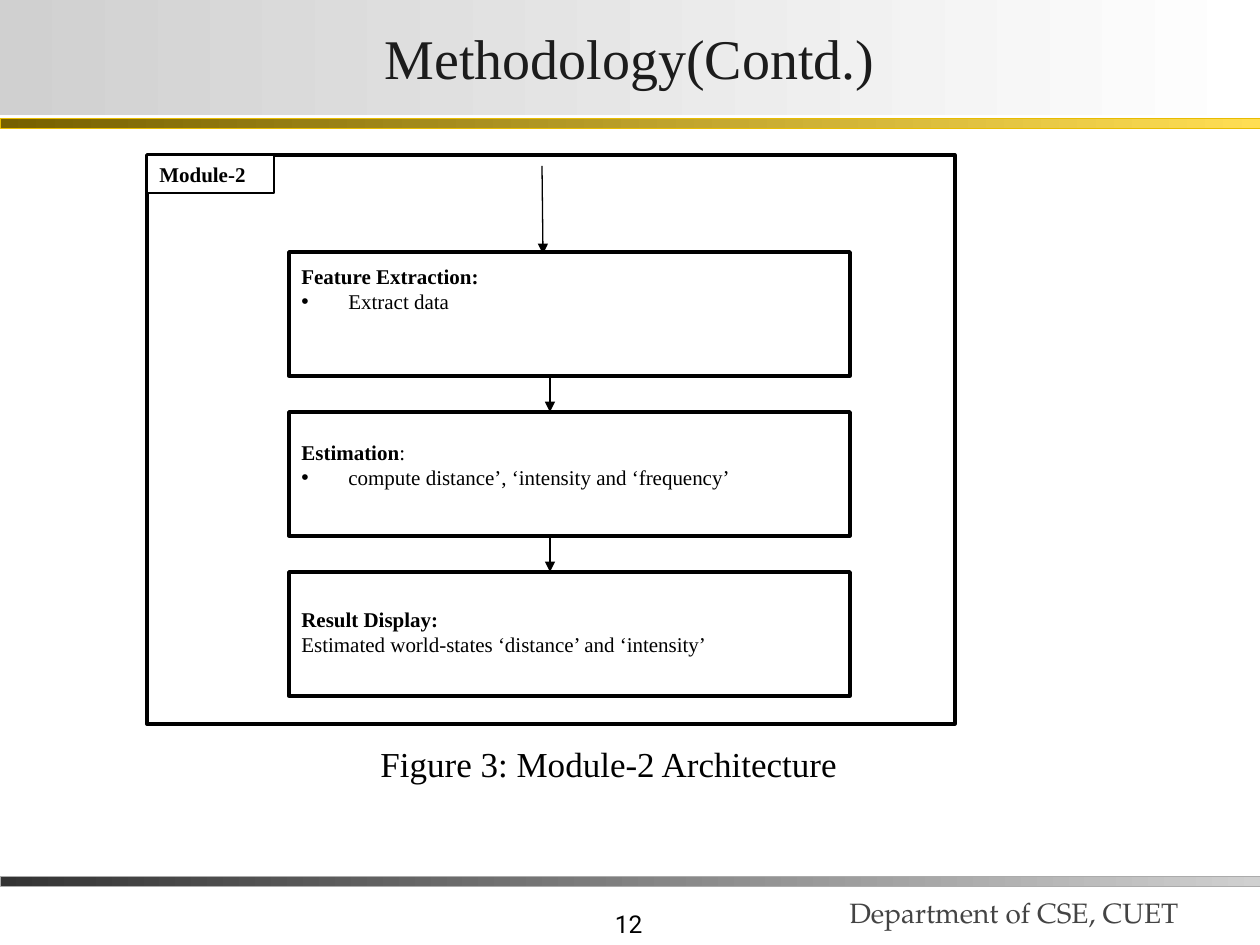
from dataclasses import dataclass

from lxml import etree
from pptx import Presentation
from pptx.dml.color import RGBColor
from pptx.enum.shapes import MSO_CONNECTOR, MSO_SHAPE
from pptx.enum.text import MSO_ANCHOR, MSO_AUTO_SIZE, PP_ALIGN
from pptx.oxml.ns import qn
from pptx.util import Emu, Pt

RECTANGLE = MSO_SHAPE.RECTANGLE
STRAIGHT = MSO_CONNECTOR.STRAIGHT
TOP, MIDDLE, BOTTOM = MSO_ANCHOR.TOP, MSO_ANCHOR.MIDDLE, MSO_ANCHOR.BOTTOM
LEFT, CENTER, RIGHT = PP_ALIGN.LEFT, PP_ALIGN.CENTER, PP_ALIGN.RIGHT
EMU_PER_PX = 914400 / 126


@dataclass(frozen=True)
class Theme:
    serif: str = "Times New Roman"
    footer_font: str = "TeX Gyre Pagella"
    number_font: str = "Roboto"
    ink: str = "000000"
    paper: str = "FFFFFF"
    title_ink: str = "1C1C1C"
    footer_ink: str = "444444"
    title_fade: tuple = ("D0D0D0", "FFFFFF")
    gold: tuple = ("766000", "FFDE53")
    gold_edge: str = "E8BC00"
    gray: tuple = ("333333", "D0D0D0")
    gray_edge: str = "ABABAB"
    title_size: int = 32
    caption_size: int = 20
    footer_size: int = 16
    number_size: int = 14
    body_size: int = 12
    thick: float = 2
    thin: float = 0.75
    hairline: float = 0.25


THEME = Theme()

# Content: a paragraph is (bulleted, runs); a run is (text, bold)
TITLE = "Methodology(Contd.)"
CAPTION = "Figure 3: Module-2 Architecture"
FOOTER = "Department of CSE, CUET"
PAGE_NUMBER = "12"
MODULE = "Module-2"
# Each step: text offset from the box top, text width, text height, paragraphs
STEPS = [
    (5, 561, 89, [(False, [("Feature Extraction:", True)]),
                  (True, [("Extract data", False)])]),
    (21, 509, 89, [(False, [("Estimation", True), (":", False)]),
                   (True, [("compute distance’, ‘intensity and ‘frequency’", False)])]),
    (28, 466, 63, [(False, [("Result Display:", True)]),
                   (False, [("Estimated world-states ‘distance’ and ‘intensity’", False)])]),
]

# Layout in px
PAGE_W, PAGE_H = 1260, 945
TITLE_BAND = (0, 0, PAGE_W, 115)
GOLD_BAR = (0, 118, PAGE_W, 10)
GRAY_BAR = (0, 876, PAGE_W, 10)
FRAME = (147, 155, 808, 569)
TAG = (147, 155, 127, 38)
STEP_X, STEP_Y, STEP_W, STEP_H, STEP_PITCH = 289, 252, 561, 124, 160
ARROW_X = 550
ENTRY_ARROW = (542, 166, 543, 254)
BULLET_INDENT = 47


def px(value):
    return Emu(round(value * EMU_PER_PX))


def color(value):
    return RGBColor.from_string(value)


def plain(text, bold=False):
    return [(False, [(text, bold)])]


def fade(shape, stops):
    shape.fill.gradient()
    shape.fill.gradient_angle = 0
    for stop, value in zip(shape.fill.gradient_stops, stops):
        stop.color.rgb = color(value)


def write(shape, paragraphs, size, font=THEME.serif, ink=THEME.ink, align=LEFT, anchor=TOP):
    frame = shape.text_frame
    frame.word_wrap = True
    frame.auto_size = MSO_AUTO_SIZE.NONE
    frame.vertical_anchor = anchor
    for index, (bulleted, runs) in enumerate(paragraphs):
        para = frame.add_paragraph() if index else frame.paragraphs[0]
        para.alignment = align
        if bulleted:
            props = para._p.get_or_add_pPr()
            props.set("marL", str(px(BULLET_INDENT)))
            props.set("indent", str(-px(BULLET_INDENT)))
            etree.SubElement(props, qn("a:buFont")).set("typeface", "Arial")
            etree.SubElement(props, qn("a:buChar")).set("char", "•")
        for text, bold in runs:
            span = para.add_run()
            span.text = text
            span.font.name = font
            span.font.size = Pt(size)
            span.font.bold = bold
            span.font.color.rgb = color(ink)


def add_text(page, area, paragraphs, size, **style):
    box = page.shapes.add_textbox(*map(px, area))
    write(box, paragraphs, size, **style)


def add_box(page, area, line, width, fill=None):
    box = page.shapes.add_shape(RECTANGLE, *map(px, area))
    box.shadow.inherit = False
    if fill is None:
        box.fill.background()
    elif isinstance(fill, tuple):
        fade(box, fill)
    else:
        box.fill.solid()
        box.fill.fore_color.rgb = color(fill)
    box.line.color.rgb = color(line)
    box.line.width = Pt(width)
    return box


def add_arrow(page, ends):
    arrow = page.shapes.add_connector(STRAIGHT, *map(px, ends))
    arrow.line.color.rgb = color(THEME.ink)
    arrow.line.width = Pt(THEME.thin)
    etree.SubElement(arrow.line._get_or_add_ln(), qn("a:tailEnd")).set("type", "triangle")
    etree.SubElement(arrow._element.spPr, qn("a:effectLst"))


def add_title(page):
    title = page.shapes.title
    title.left, title.top, title.width, title.height = map(px, TITLE_BAND)
    fade(title, THEME.title_fade)
    write(title, plain(TITLE), THEME.title_size, ink=THEME.title_ink,
          align=CENTER, anchor=MIDDLE)


def add_page_furniture(page):
    add_text(page, (393, 882, 262, 63), plain(PAGE_NUMBER), THEME.number_size,
             font=THEME.number_font, align=RIGHT, anchor=BOTTOM)
    add_text(page, (837, 857, 423, 78), plain(FOOTER), THEME.footer_size,
             font=THEME.footer_font, ink=THEME.footer_ink, anchor=BOTTOM)
    add_box(page, GRAY_BAR, THEME.gray_edge, THEME.hairline, THEME.gray)
    add_box(page, GOLD_BAR, THEME.gold_edge, THEME.hairline, THEME.gold)


def add_diagram(page):
    # Module frame with its tag
    add_box(page, FRAME, THEME.ink, THEME.thick)
    tag = add_box(page, TAG, THEME.ink, THEME.thin, THEME.paper)
    write(tag, plain(MODULE, True), THEME.body_size)

    # Steps stacked at an equal pitch, with an arrow into each
    for index, (offset, width, height, paragraphs) in enumerate(STEPS):
        top = STEP_Y + index * STEP_PITCH
        add_box(page, (STEP_X, top, STEP_W, STEP_H), THEME.ink, THEME.thick)
        add_text(page, (STEP_X, top + offset, width, height), paragraphs, THEME.body_size)
        if index:
            add_arrow(page, (ARROW_X, top - STEP_PITCH + STEP_H, ARROW_X, top))
    add_arrow(page, ENTRY_ARROW)

    add_text(page, (368, 736, 672, 55), plain(CAPTION), THEME.caption_size)


def main():
    deck = Presentation()
    deck.slide_width, deck.slide_height = px(PAGE_W), px(PAGE_H)
    page = deck.slides.add_slide(deck.slide_layouts[5])
    add_title(page)
    add_page_furniture(page)
    add_diagram(page)
    deck.save("out.pptx")


if __name__ == "__main__":
    main()
